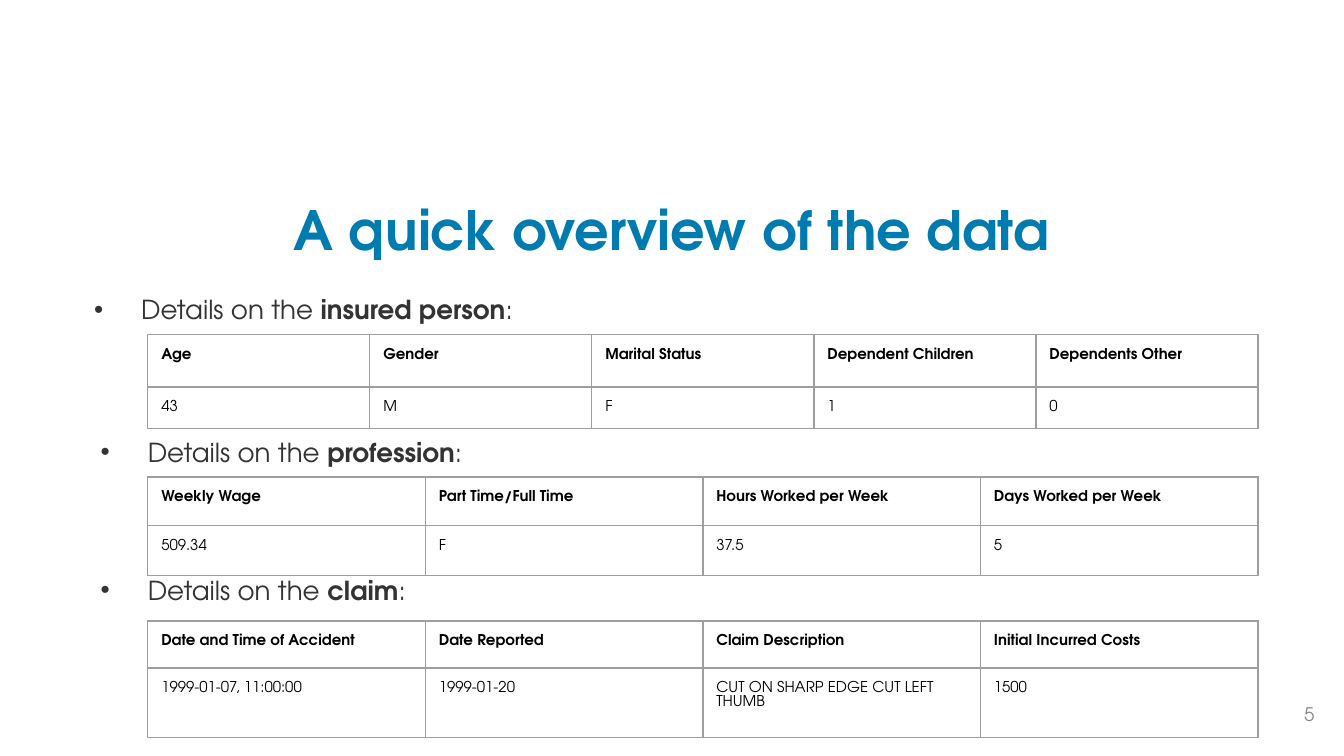
"""Build a slide that gives an overview of insurance claim data in three tables."""
from dataclasses import dataclass

from lxml import etree
from pptx import Presentation
from pptx.dml.color import RGBColor
from pptx.enum.text import MSO_ANCHOR, MSO_AUTO_SIZE, PP_ALIGN
from pptx.oxml.ns import qn
from pptx.util import Inches, Pt

MIDDLE, TOP = MSO_ANCHOR.MIDDLE, MSO_ANCHOR.TOP
CENTER, RIGHT = PP_ALIGN.CENTER, PP_ALIGN.RIGHT
FIXED_SIZE = MSO_AUTO_SIZE.NONE

FONT = "TeX Gyre Adventor"
BULLET_FONT = "Arial"
BLUE = RGBColor(0x00, 0x7B, 0xB0)
CHARCOAL = RGBColor(0x33, 0x33, 0x33)
GRAY = RGBColor(0x88, 0x88, 0x88)
BORDER = RGBColor(0x9E, 0x9E, 0x9E)
BLACK = RGBColor(0x00, 0x00, 0x00)

SLIDE_WIDTH = Inches(10)
SLIDE_HEIGHT = SLIDE_WIDTH * 9 // 16
TABLE_LEFT, TABLE_WIDTH = Inches(1.1), Inches(8.26)


@dataclass(frozen=True)
class Box:
    """A rectangle in inches."""
    left: float
    top: float
    width: float
    height: float


@dataclass(frozen=True)
class Section:
    """A bulleted heading with the table below it."""
    subject: str
    heading: Box
    table_top: float
    row_heights: tuple[float, float]
    fields: dict[str, str]


SECTIONS = (
    Section("insured person", Box(0.5, 2.18, 9, 1.04), 2.49, (0.39, 0.3),
            {"Age": "43", "Gender": "M", "Marital Status": "F",
             "Dependent Children": "1", "Dependents Other": "0"}),
    Section("profession", Box(0.55, 3.24, 8.9, 1.01), 3.55, (0.36, 0.37),
            {"Weekly Wage": "509.34", "Part Time/Full Time": "F",
             "Hours Worked per Week": "37.5", "Days Worked per Week": "5"}),
    Section("claim", Box(0.55, 4.27, 8.9, 1.01), 4.62, (0.35, 0.52),
            {"Date and Time of Accident": "1999-01-07, 11:00:00",
             "Date Reported": "1999-01-20",
             "Claim Description": "CUT ON SHARP EDGE CUT LEFT THUMB",
             "Initial Incurred Costs": "1500"}),
)


def place(shape, box: Box, anchor=TOP) -> None:
    """Move a text shape to its box and set its frame."""
    shape.left, shape.top = Inches(box.left), Inches(box.top)
    shape.width, shape.height = Inches(box.width), Inches(box.height)
    frame = shape.text_frame
    frame.word_wrap = True
    frame.auto_size = FIXED_SIZE
    frame.vertical_anchor = anchor
    frame.margin_left = frame.margin_right = Inches(0.05)
    frame.margin_top = frame.margin_bottom = Inches(0.05)


def style(span, size: float, color: RGBColor, bold: bool = False) -> None:
    """Format one run."""
    span.font.name, span.font.size, span.font.bold = FONT, Pt(size), bold
    span.font.color.rgb = color


def write(shape, text: str, size: float, color: RGBColor, align, bold: bool = False) -> None:
    """Put a single formatted line into a shape."""
    shape.text_frame.text = text
    para = shape.text_frame.paragraphs[0]
    para.alignment = align
    style(para.runs[0], size, color, bold)


def add_bullet(para) -> None:
    """Give a paragraph a hanging round bullet."""
    properties = para._p.get_or_add_pPr()
    properties.set("marL", str(Inches(0.5)))
    properties.set("indent", str(-Inches(0.35)))
    bullet_color = etree.SubElement(properties, qn("a:buClr"))
    etree.SubElement(bullet_color, qn("a:srgbClr"), val=str(CHARCOAL))
    etree.SubElement(properties, qn("a:buFont"), typeface=BULLET_FONT)
    etree.SubElement(properties, qn("a:buChar"), char="•")


def write_heading(shape, section: Section) -> None:
    """Write a section heading with its subject in bold."""
    place(shape, section.heading)
    para = shape.text_frame.paragraphs[0]
    para.line_spacing, para.space_before = 0.8, Pt(6)
    add_bullet(para)
    for text, bold in (("Details on the ", False), (section.subject, True), (":", False)):
        span = para.add_run()
        span.text = text
        style(span, 14, CHARCOAL, bold)


def format_cell(cell, text: str, bold: bool) -> None:
    """Fill a table cell and outline it."""
    cell.text_frame.text = text
    style(cell.text_frame.paragraphs[0].runs[0], 8, BLACK, bold)
    cell.margin_left = cell.margin_right = Inches(0.1)
    cell.margin_top = cell.margin_bottom = Inches(0.1)
    properties = cell._tc.get_or_add_tcPr()
    for side in ("a:lnL", "a:lnR", "a:lnT", "a:lnB"):
        line = etree.SubElement(properties, qn(side), w=str(Pt(0.75)))
        fill = etree.SubElement(line, qn("a:solidFill"))
        etree.SubElement(fill, qn("a:srgbClr"), val=str(BORDER))
    cell.fill.background()


def add_section_table(page, section: Section) -> None:
    """Add a table of equal columns with field names above values."""
    count = len(section.fields)
    table = page.shapes.add_table(
        2, count, TABLE_LEFT, Inches(section.table_top),
        TABLE_WIDTH, Inches(sum(section.row_heights))).table
    table.first_row = table.horz_banding = False
    for column in table.columns:
        column.width = TABLE_WIDTH // count
    for index, texts in enumerate((section.fields.keys(), section.fields.values())):
        table.rows[index].height = Inches(section.row_heights[index])
        for column, text in enumerate(texts):
            format_cell(table.cell(index, column), text, bold=index == 0)


def main() -> None:
    """Build and save the deck."""
    deck = Presentation()
    deck.slide_width, deck.slide_height = SLIDE_WIDTH, SLIDE_HEIGHT
    page = deck.slides.add_slide(deck.slide_layouts[1])

    title, body = page.shapes.title, page.placeholders[1]
    place(title, Box(0.5, 1.23, 9, 0.94), MIDDLE)
    write(title, "A quick overview of the data", 29, BLUE, CENTER, bold=True)

    for index, section in enumerate(SECTIONS):
        heading = body if index == 0 else page.shapes.add_textbox(0, 0, 0, 0)
        write_heading(heading, section)
        add_section_table(page, section)

    number = page.shapes.add_textbox(0, 0, 0, 0)
    place(number, Box(9.64, 5.18, 0.19, 0.27), MIDDLE)
    number.text_frame.word_wrap = False
    write(number, "5", 10, GRAY, RIGHT)

    deck.save("out.pptx")


if __name__ == "__main__":
    main()
